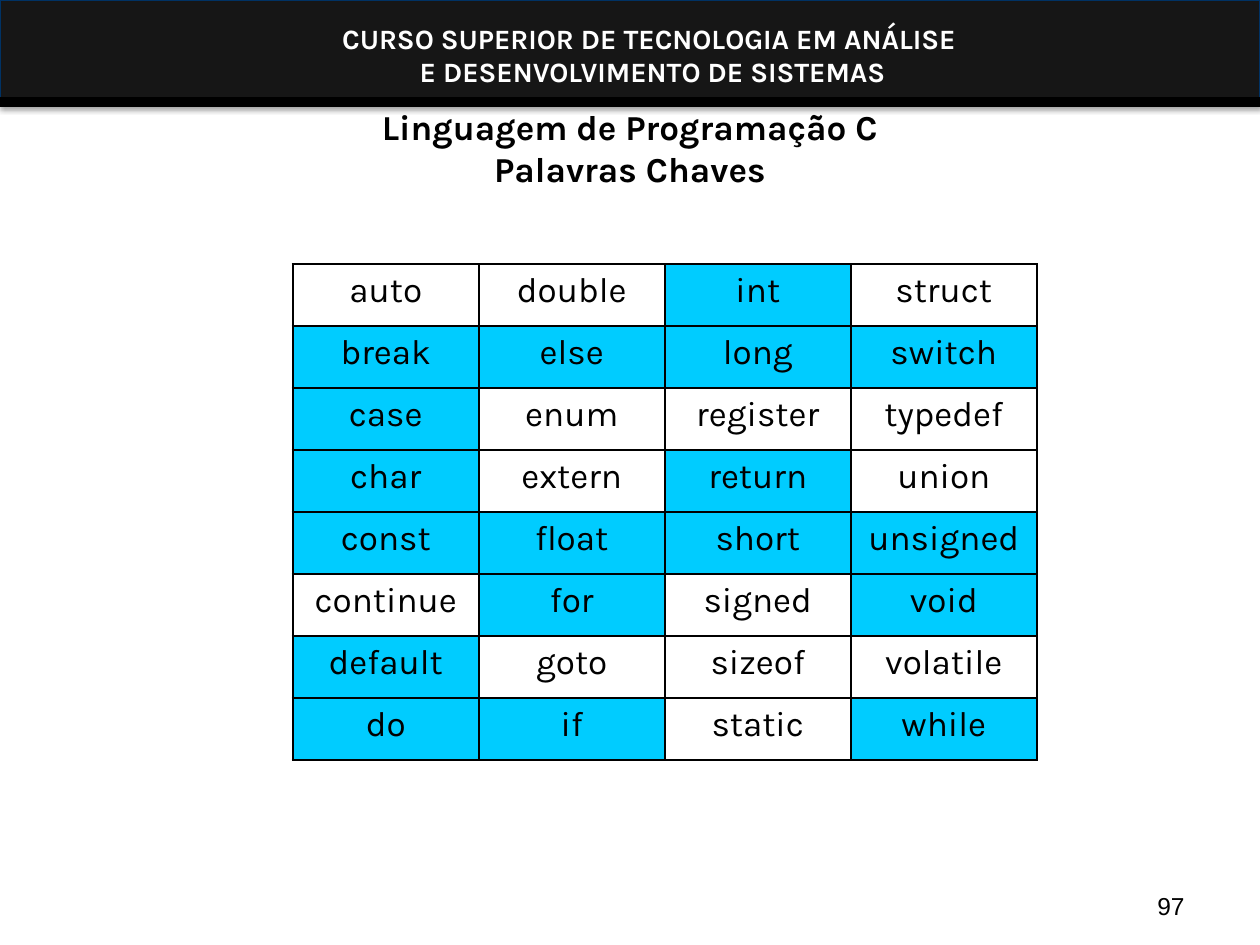
from pptx import Presentation
from pptx.dml.color import RGBColor
from pptx.enum.shapes import MSO_CONNECTOR as Connector, MSO_SHAPE as Shape
from pptx.enum.text import MSO_ANCHOR as Anchor, PP_ALIGN as Align
from pptx.oxml import parse_xml
from pptx.oxml.ns import nsdecls
from pptx.util import Pt

FONT = "Karla"
BLACK, WHITE, CYAN = "000000", "FFFFFF", "00CCFF"

# Keywords marked with * are highlighted
KEYWORDS = """
auto double *int struct
*break *else *long *switch
*case enum register typedef
*char extern *return union
*const *float *short *unsigned
continue *for signed *void
*default goto sizeof volatile
*do *if static *while
"""


def color(value):
    return RGBColor.from_string(value)


def format_text(text_frame, size, hex_color=BLACK, font=FONT, bold=False, align=Align.CENTER):
    for paragraph in text_frame.paragraphs:
        paragraph.alignment = align
        for run in paragraph.runs:
            run.font.name = font
            run.font.size = Pt(size)
            run.font.bold = bold
            run.font.color.rgb = color(hex_color)


def add_text(slide, text, left, top, width, height, size, anchor=Anchor.TOP, **style):
    shape = slide.shapes.add_textbox(Pt(left), Pt(top), Pt(width), Pt(height))
    text_frame = shape.text_frame
    text_frame.word_wrap = True
    text_frame.vertical_anchor = anchor
    text_frame.text = text
    format_text(text_frame, size, **style)


def add_band(slide, width, height):
    shape = slide.shapes.add_shape(Shape.RECTANGLE, 0, 0, Pt(width), Pt(height))
    shape.fill.solid()
    shape.fill.fore_color.rgb = color("161616")
    shape.line.color.rgb = color("003264")
    shape.line.width = Pt(0.75)
    shape.shadow.inherit = False
    effects = shape._element.spPr.find("{*}effectLst")
    effects.append(parse_xml(
        f'<a:outerShdw {nsdecls("a")} blurRad="{Pt(3.1)}" dist="{Pt(1.8)}" dir="5400000" '
        f'rotWithShape="0"><a:srgbClr val="{BLACK}"><a:alpha val="35000"/></a:srgbClr>'
        '</a:outerShdw>'))


def add_rule(slide, y, width, weight):
    line = slide.shapes.add_connector(Connector.STRAIGHT, 0, Pt(y), Pt(width), Pt(y))
    line.line.color.rgb = color(BLACK)
    line.line.width = Pt(weight)
    line._element.spPr.append(parse_xml(f'<a:effectLst {nsdecls("a")}/>'))


def add_borders(cell, weight):
    properties = cell._tc.get_or_add_tcPr()
    for index, side in enumerate(("lnL", "lnR", "lnT", "lnB")):
        properties.insert(index, parse_xml(
            f'<a:{side} {nsdecls("a")} w="{Pt(weight)}"><a:solidFill>'
            f'<a:srgbClr val="{BLACK}"/></a:solidFill></a:{side}>'))


def add_keyword_table(slide, rows, left, top, column_width, row_height):
    row_count, column_count = len(rows), len(rows[0])
    table = slide.shapes.add_table(
        row_count, column_count, Pt(left), Pt(top),
        Pt(column_width * column_count), Pt(row_height * row_count)).table
    table.first_row = table.horz_banding = False
    for column in table.columns:
        column.width = Pt(column_width)
    for row, words in zip(table.rows, rows):
        row.height = Pt(row_height)
        for cell, word in zip(row.cells, words):
            cell.text_frame.text = word.lstrip("*")
            format_text(cell.text_frame, 20)
            if word.startswith("*"):
                cell.fill.solid()
                cell.fill.fore_color.rgb = color(CYAN)
            else:
                cell.fill.background()
            add_borders(cell, 1.5)


def main():
    presentation = Presentation()
    presentation.slide_width, presentation.slide_height = Pt(720), Pt(540)
    slide = presentation.slides.add_slide(presentation.slide_layouts[6])

    # Course header
    add_band(slide, 720, 60.5)
    add_text(slide, "CURSO SUPERIOR DE TECNOLOGIA EM ANÁLISE \nE DESENVOLVIMENTO DE SISTEMAS",
             93.6, 8.6, 558.7, 46, 16, hex_color=WHITE, bold=True)
    add_rule(slide, 58.3, 720, 6)

    # Page number and title
    add_text(slide, "97", 516, 492, 168, 37.5, 14, anchor=Anchor.BOTTOM,
             font="Arial", align=Align.RIGHT)
    add_text(slide, "Linguagem de Programação C\vPalavras Chaves",
             36, 30.2, 648, 108, 20, anchor=Anchor.MIDDLE, bold=True)

    # Keyword grid
    rows = [line.split() for line in KEYWORDS.strip().splitlines()]
    add_keyword_table(slide, rows, 167.3, 151, 106.3, 35.43)

    presentation.save("out.pptx")


if __name__ == "__main__":
    main()
